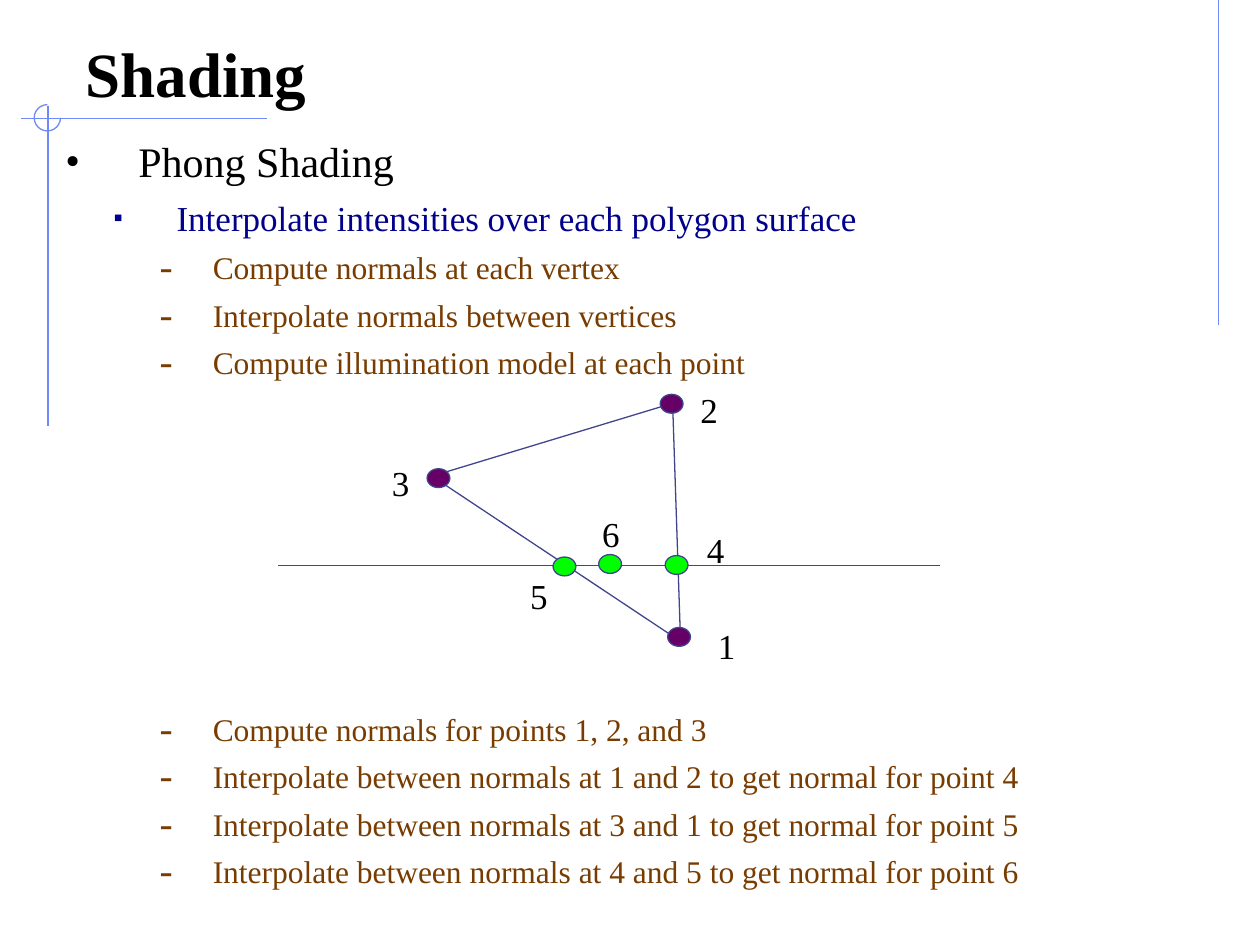
from lxml.etree import SubElement
from pptx import Presentation
from pptx.dml.color import RGBColor
from pptx.enum.shapes import MSO_CONNECTOR, MSO_SHAPE
from pptx.enum.text import MSO_ANCHOR, MSO_AUTO_SIZE, PP_ALIGN
from pptx.oxml.ns import qn
from pptx.util import Cm, Pt

COLORS = {
    "black": "000000",
    "navy": "00008C",
    "brown": "783C00",
    "frame": "6F89F7",
    "edge": "40458C",
    "vertex": "660066",
    "sample": "00FF00",
}

LEVELS = [
    {"size": 24, "color": "black", "bullet": "•", "scale": 100, "left": 1.47, "hang": 1.47, "before": 0},
    {"size": 20, "color": "navy", "bullet": "▪", "scale": 75, "left": 2.24, "hang": 1.27, "before": 6},
    {"size": 18, "color": "brown", "bullet": "-", "scale": 125, "left": 2.97, "hang": 1.07, "before": 5.5},
]

DIAGRAM_GAP = 188

OUTLINE = [
    (0, "Phong Shading", None),
    (1, "Interpolate intensities over each polygon surface", None),
    (2, "Compute normals at each vertex", None),
    (2, "Interpolate normals between vertices", None),
    (2, "Compute illumination model at each point", None),
    (2, "Compute normals for points 1, 2, and 3", DIAGRAM_GAP),
    (2, "Interpolate between normals at 1 and 2 to get normal for point 4", None),
    (2, "Interpolate between normals at 3 and 1 to get normal for point 5", None),
    (2, "Interpolate between normals at 4 and 5 to get normal for point 6", None),
]

FRAME_LINES = [
    (24.56, 0, 24.56, 6.55),
    (5.38, 2.39, 0.43, 2.39),
    (0.97, 2.13, 0.97, 8.59),
]

TRIANGLE = [(8.71, 9.6), (13.56, 8.13), (13.72, 12.93)]

POINTS = [
    ("5", "sample", (11.15, 11.23), (10.44, 11.46)),
    ("4", "sample", (13.41, 11.2), (14, 10.52)),
    ("6", "sample", (12.07, 11.18), (11.89, 10.21)),
    ("1", "vertex", (13.46, 12.65), (14.22, 12.47)),
    ("2", "vertex", (13.31, 7.95), (13.87, 7.7)),
    ("3", "vertex", (8.61, 9.45), (7.65, 9.17)),
]


class SlideBuilder:
    """Draws styled elements on the current slide."""

    font = "Times New Roman"
    line_width = Pt(0.75)

    def __init__(self, page):
        self.page = page

    def color(self, name):
        return RGBColor.from_string(COLORS[name])

    def add_span(self, para, text, size, color="black", bold=False):
        span = para.add_run()
        span.text = text
        span.font.color.rgb = self.color(color)
        for name, value in {"name": self.font, "size": Pt(size), "bold": bold}.items():
            setattr(span.font, name, value)

    def stroke(self, item, color):
        item.line.color.rgb = self.color(color)
        item.line.width = self.line_width

    def title(self, text, left, top, width, height):
        box = self.page.shapes.title
        place = {"left": left, "top": top, "width": width, "height": height}
        for name, value in place.items():
            setattr(box, name, Cm(value))
        frame = box.text_frame
        frame.auto_size = MSO_AUTO_SIZE.NONE
        frame.vertical_anchor = MSO_ANCHOR.BOTTOM
        para = frame.paragraphs[0]
        para.alignment = PP_ALIGN.LEFT
        self.add_span(para, text, 36, bold=True)

    def bullet(self, para, level):
        props = para._p.get_or_add_pPr()
        props.set("marL", str(Cm(level["left"])))
        props.set("indent", str(-Cm(level["hang"])))
        tint = SubElement(props, qn("a:buClr"))
        SubElement(tint, qn("a:srgbClr"), val=COLORS[level["color"]])
        SubElement(props, qn("a:buSzPct"), val=str(level["scale"] * 1000))
        SubElement(props, qn("a:buFont"), typeface=self.font)
        SubElement(props, qn("a:buChar"), char=level["bullet"])

    def outline(self, entries, left, top, width, height):
        box = self.page.shapes.add_textbox(Cm(left), Cm(top), Cm(width), Cm(height))
        frame = box.text_frame
        frame.word_wrap = True
        frame.margin_top = Cm(0.2)
        for index, (depth, text, gap) in enumerate(entries):
            level = LEVELS[depth]
            para = frame.add_paragraph() if index else frame.paragraphs[0]
            para.level = depth
            para.space_before = Pt(gap or level["before"])
            self.bullet(para, level)
            self.add_span(para, text, level["size"], level["color"])

    def label(self, text, left, top):
        box = self.page.shapes.add_textbox(Cm(left), Cm(top), Cm(0.86), Cm(1.09))
        box.text_frame.word_wrap = False
        box.text_frame.auto_size = MSO_AUTO_SIZE.SHAPE_TO_FIT_TEXT
        self.add_span(box.text_frame.paragraphs[0], text, 20)

    def line(self, ends, color):
        connector = self.page.shapes.add_connector(
            MSO_CONNECTOR.STRAIGHT, *(Cm(end) for end in ends))
        self.stroke(connector, color)
        SubElement(connector._element.spPr, qn("a:effectLst"))

    def arc(self, left, top, size, color):
        shape = self.page.shapes.add_shape(
            MSO_SHAPE.ARC, Cm(left), Cm(top), Cm(size), Cm(size))
        shape.adjustments[0] = 0
        shape.adjustments[1] = 270 * 60000 / 100000
        shape.shadow.inherit = False
        shape.fill.background()
        self.stroke(shape, color)

    def dot(self, left, top, fill):
        shape = self.page.shapes.add_shape(
            MSO_SHAPE.OVAL, Cm(left), Cm(top), Cm(0.46), Cm(0.38))
        shape.shadow.inherit = False
        shape.fill.solid()
        shape.fill.fore_color.rgb = self.color(fill)
        self.stroke(shape, "edge")

    def polygon(self, corners):
        start, *others = [(Cm(x), Cm(y)) for x, y in corners]
        builder = self.page.shapes.build_freeform(*start)
        builder.add_line_segments(others, close=True)
        shape = builder.convert_to_shape()
        shape.shadow.inherit = False
        shape.fill.background()
        self.stroke(shape, "edge")


def main():
    deck = Presentation()
    deck.slide_width, deck.slide_height = Cm(25.4), Cm(19.05)
    builder = SlideBuilder(deck.slides.add_slide(deck.slide_layouts[5]))
    for ends in FRAME_LINES:
        builder.line(ends, "frame")
    builder.arc(0.69, 2.11, 0.53, "frame")
    builder.title("Shading", 1.47, 0.64, 22.43, 1.7)
    builder.outline(OUTLINE, 1.07, 2.54, 23.29, 15.67)
    builder.polygon(TRIANGLE)
    builder.line((5.61, 11.4, 18.95, 11.4), "edge")
    for _, fill, spot, _ in POINTS:
        builder.dot(*spot, fill)
    for number, _, _, spot in POINTS:
        builder.label(number, *spot)
    deck.save("out.pptx")


if __name__ == "__main__":
    main()
